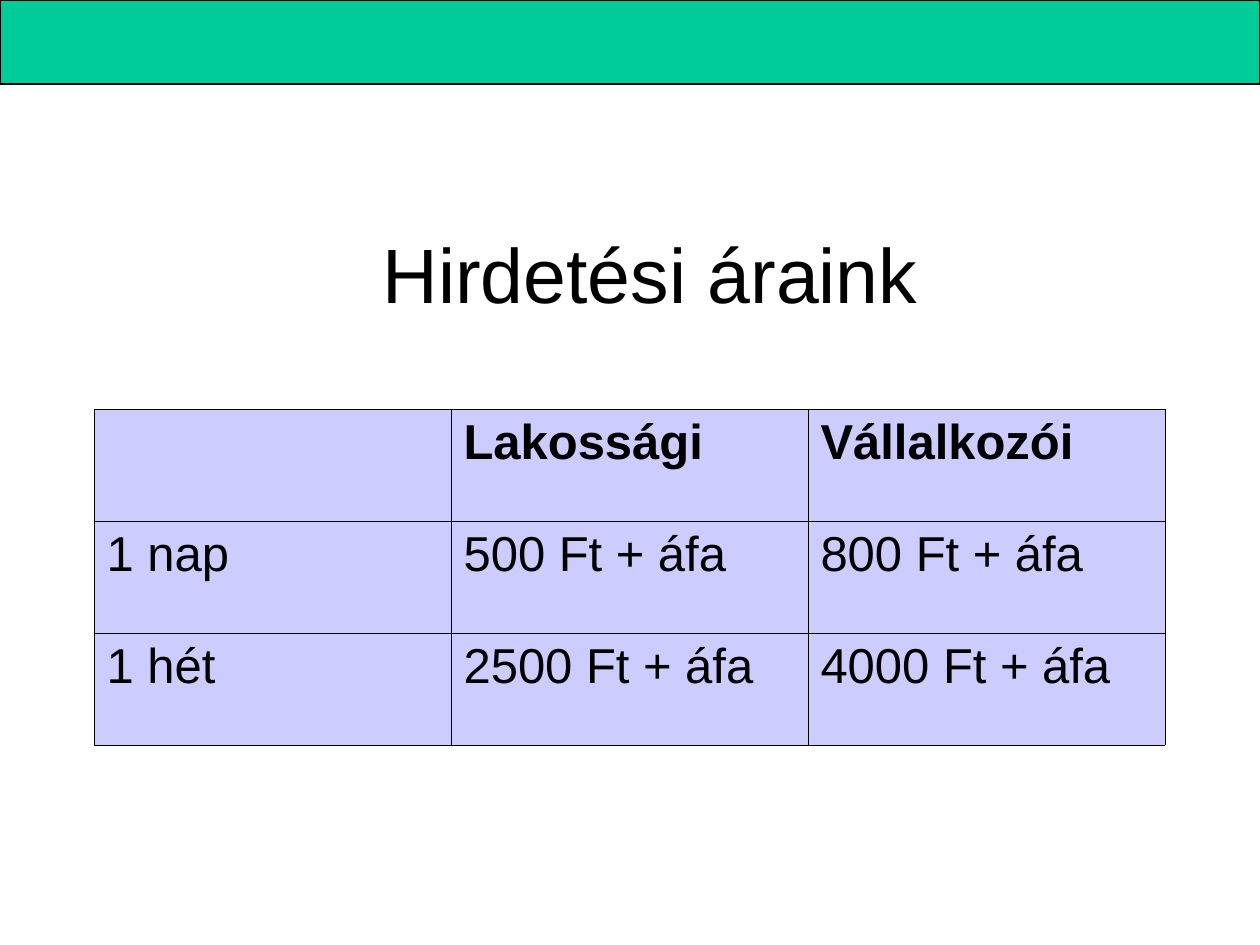
import pptx
import pptx.util
import pptx.dml.color
import pptx.enum.shapes
import pptx.enum.text
import pptx.oxml

SCALE = 914400 // 126  # EMU per px
COLORS = {"band": "00CC99", "cell": "CCCCFF", "ink": "000000", "page": "FFFFFF"}
PRICES = [
    ["", "Lakossági", "Vállalkozói"],
    ["1 nap", "500 Ft + áfa", "800 Ft + áfa"],
    ["1 hét", "2500 Ft + áfa", "4000 Ft + áfa"],
]
COLUMN_WIDTH, ROW_HEIGHT = 357, 112


def rgb(name):
    return pptx.dml.color.RGBColor.from_string(COLORS[name])


def write(frame, text, size, bold=False):
    para = frame.paragraphs[0]
    para.alignment = pptx.enum.text.PP_ALIGN.LEFT
    span = para.add_run()
    span.text = text
    span.font.name = "Arial"
    span.font.size = pptx.util.Pt(size)
    span.font.bold = bold
    span.font.color.rgb = rgb("ink")


deck = pptx.Presentation()
deck.slide_width, deck.slide_height = 1260 * SCALE, 945 * SCALE
page = deck.slides.add_slide(deck.slide_layouts[5])
page.background.fill.solid()
page.background.fill.fore_color.rgb = rgb("page")

# Band across the top
band = page.shapes.add_shape(
    pptx.enum.shapes.MSO_SHAPE.RECTANGLE, 0, 0, 1260 * SCALE, 84 * SCALE)
band.shadow.inherit = False
band.fill.solid()
band.fill.fore_color.rgb = rgb("band")
band.line.color.rgb = rgb("ink")
band.line.width = pptx.util.Pt(0.75)

# Title
title = page.shapes.title
title.left, title.top, title.width, title.height = (
    n * SCALE for n in (370, 220, 561, 106))
title.text_frame.word_wrap = False
title.text_frame.auto_size = pptx.enum.text.MSO_AUTO_SIZE.SHAPE_TO_FIT_TEXT
title.text_frame.vertical_anchor = pptx.enum.text.MSO_ANCHOR.TOP
write(title.text_frame, "Hirdetési áraink", 44)

# Price table
table = page.shapes.add_table(
    len(PRICES), len(PRICES[0]), 94 * SCALE, 409 * SCALE,
    len(PRICES[0]) * COLUMN_WIDTH * SCALE, len(PRICES) * ROW_HEIGHT * SCALE).table
table.first_row = table.horz_banding = False
for column in table.columns:
    column.width = COLUMN_WIDTH * SCALE
for row, texts in zip(table.rows, PRICES):
    row.height = ROW_HEIGHT * SCALE
    for cell, text in zip(row.cells, texts):
        if text:
            write(cell.text_frame, text, 28, bold=texts is PRICES[0])
        cell.fill.solid()
        cell.fill.fore_color.rgb = rgb("cell")
        # Borders go ahead of the fill in the cell properties
        for index, side in enumerate(("lnL", "lnR", "lnT", "lnB")):
            border = pptx.oxml.parse_xml(
                f'<a:{side} xmlns:a="http://schemas.openxmlformats.org/drawingml/2006/main"'
                f' w="2921"><a:solidFill><a:srgbClr val="{COLORS["ink"]}"/>'
                f'</a:solidFill></a:{side}>')
            cell._tc.get_or_add_tcPr().insert(index, border)

deck.save("out.pptx")
